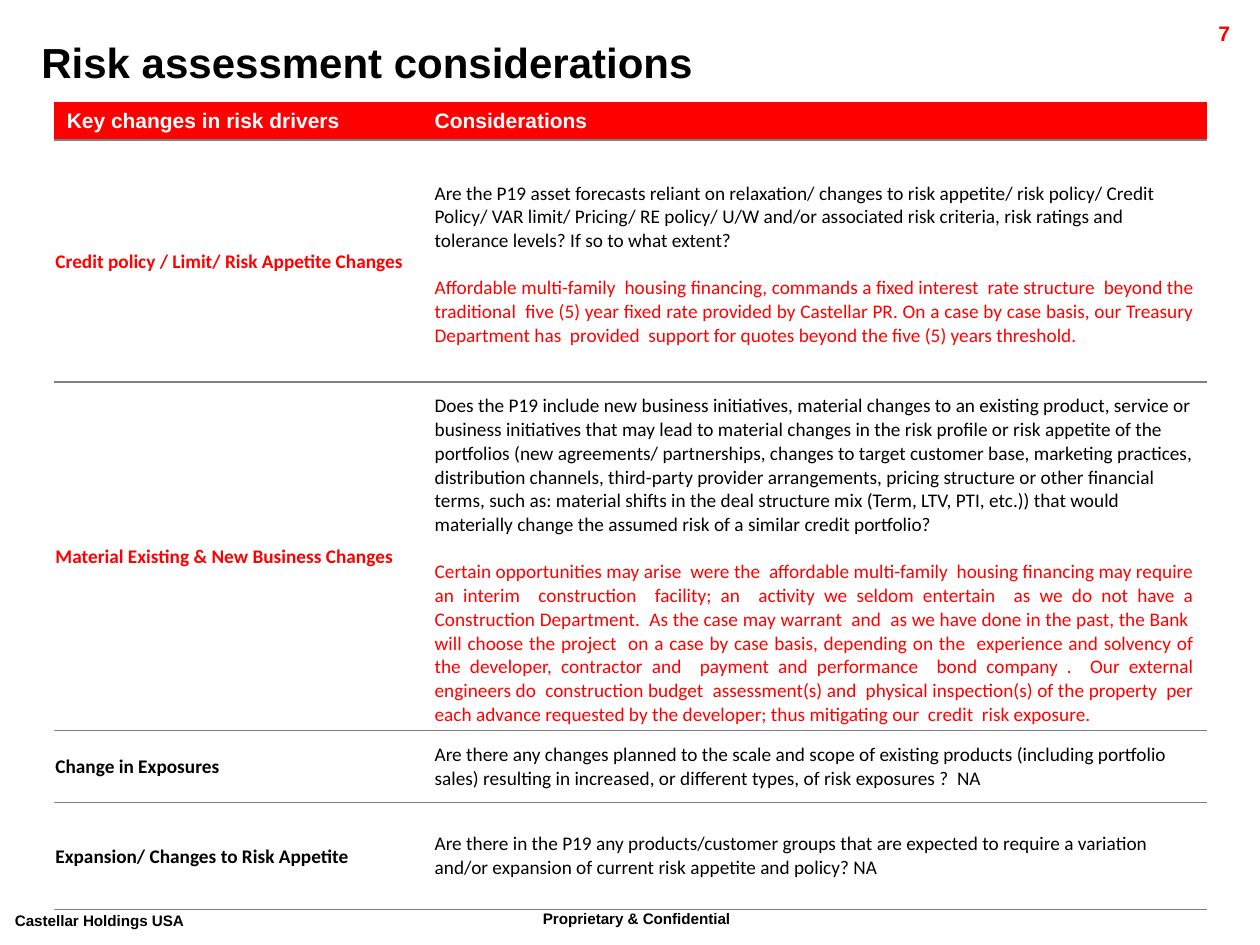
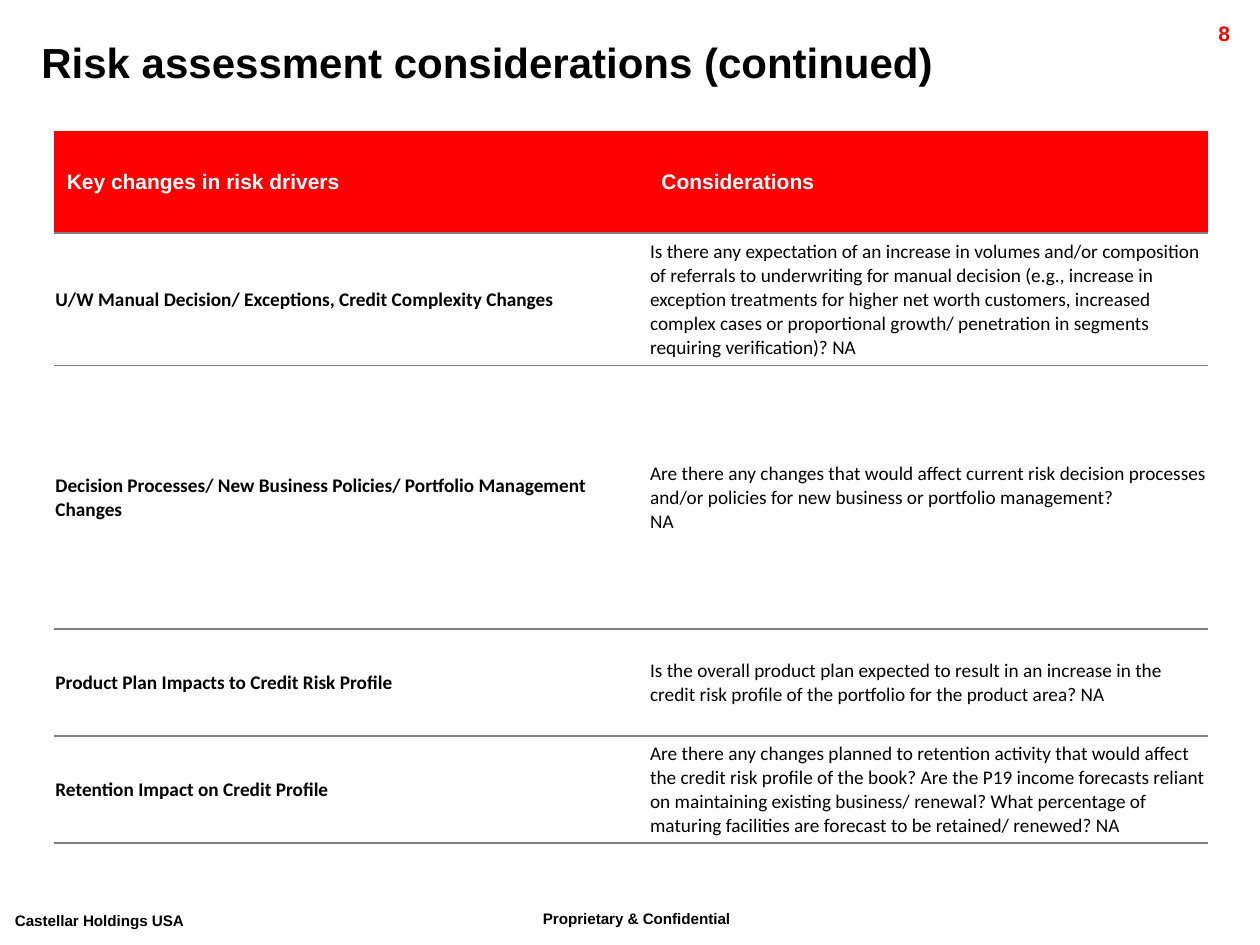
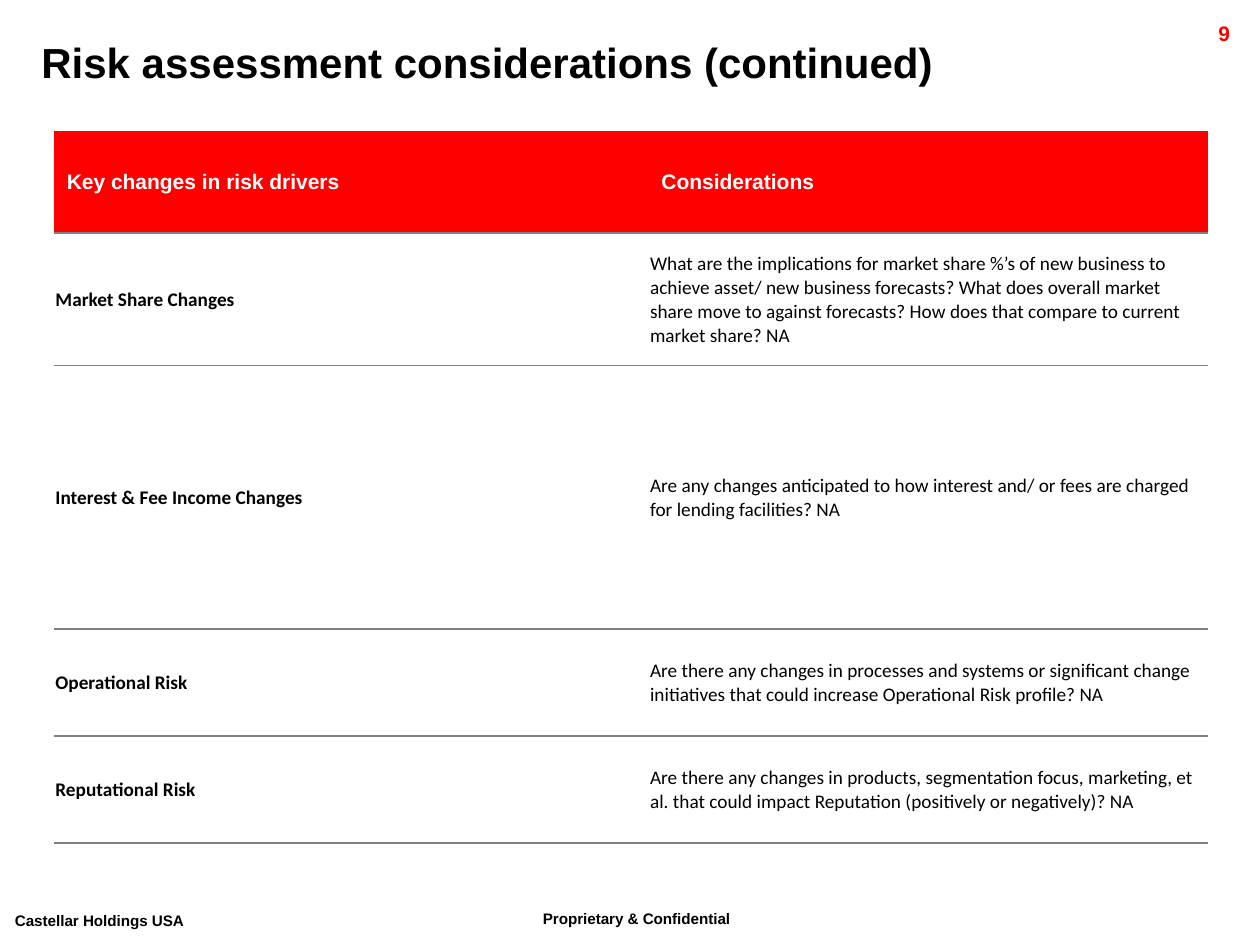
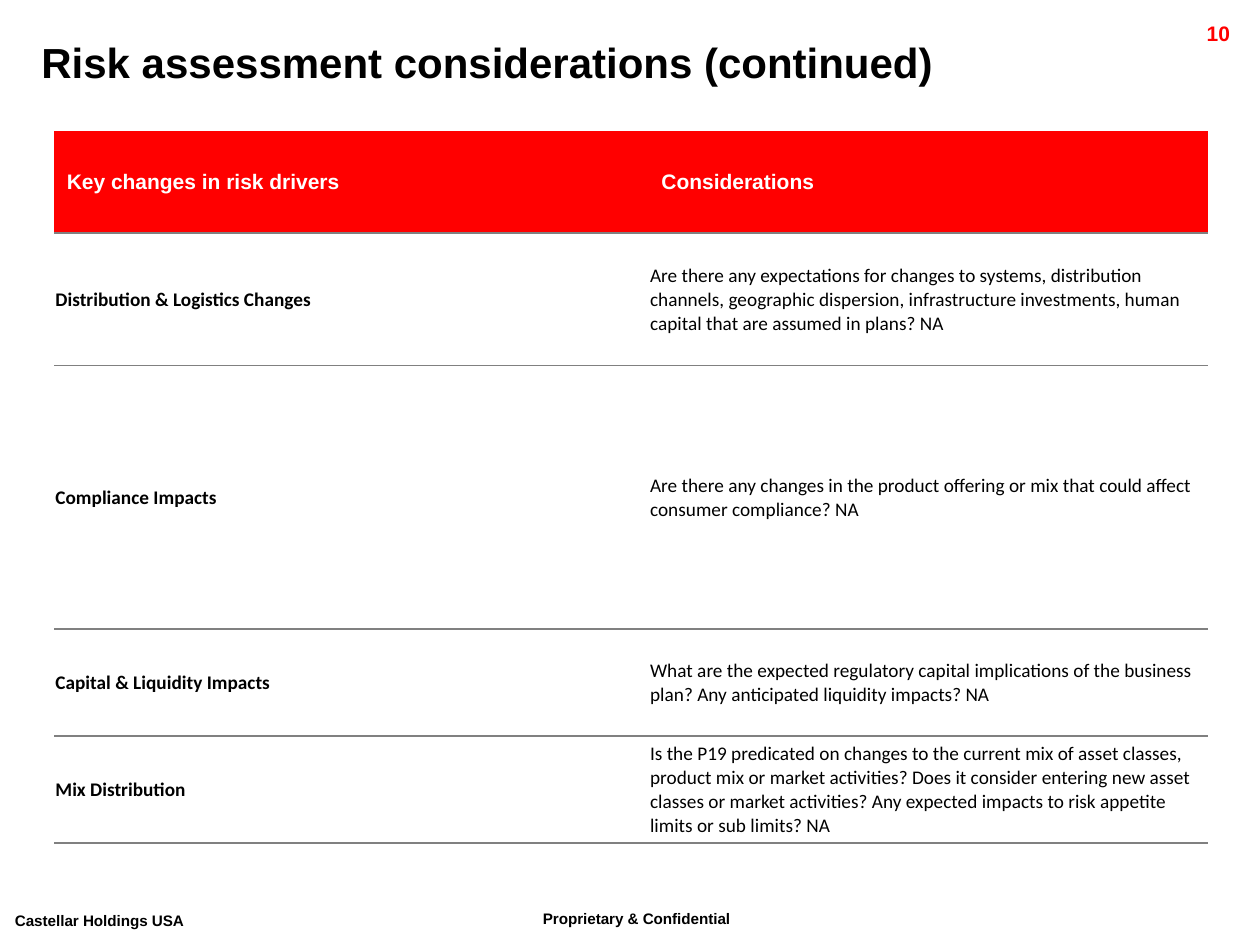
"""Build four risk assessment slides, each with a table of risk drivers and considerations."""
from lxml import etree
from pptx import Presentation
from pptx import util as u
from pptx.dml.color import RGBColor
from pptx.enum import text
from pptx.oxml import ns

COLOURS = {"ink": "000000", "accent": "FF0000", "header_text": "FFFFFF", "rule": "808080"}
HEADING_FONT, BODY_FONT = "Arial", "Calibri"
SLIDE_WIDTH, SLIDE_HEIGHT = u.Inches(10), u.Inches(7.5)
PLAIN_TABLE_STYLE = "{2D5ABB26-0587-4C30-8999-92F81FD0307C}"
TITLE = "Risk assessment considerations"
HEADINGS = ("Key changes in risk drivers", "Considerations")
FIRST_PAGE = 7
TABLE_LEFT = 4.3
TIGHT = (0.01, 0.01, 0.01, 0)
ROOMY = (0.1, 0.1, 0.1, 0.1)
ANSWERED = (0.1, 0.1, 0.1, 0.04)

OPENING = {
    "title": TITLE, "top": 10.8, "columns": (29.2, 62.3),
    "heights": (3.73, 25.6, 36.93, 7.6, 11.33), "insets": ROOMY,
    "drivers": [
        ("Credit policy / Limit/ Risk Appetite Changes",
         "Are the P19 asset forecasts reliant on relaxation/ changes to risk appetite/ risk policy/ "
         "Credit Policy/ VAR limit/ Pricing/ RE policy/ U/W and/or associated risk criteria, risk "
         "ratings and tolerance levels? If so to what extent?",
         "Affordable multi-family  housing financing, commands a fixed interest  rate structure  "
         "beyond the traditional  five (5) year fixed rate provided by Castellar PR. On a case by "
         "case basis, our Treasury Department has  provided  support for quotes beyond the five (5) "
         "years threshold."),
        ("Material Existing & New Business Changes",
         "Does the P19 include new business initiatives, material changes to an existing product, "
         "service or business initiatives that may lead to material changes in the risk profile or "
         "risk appetite of the portfolios (new agreements/ partnerships, changes to target customer "
         "base, marketing practices, distribution channels, third-party provider arrangements, "
         "pricing structure or other financial terms, such as: material shifts in the deal structure "
         "mix (Term, LTV, PTI, etc.)) that would materially change the assumed risk of a similar "
         "credit portfolio?",
         "Certain opportunities may arise  were the  affordable multi-family  housing financing may "
         "require an interim  construction  facility; an  activity we seldom entertain  as we do not "
         "have a Construction Department.  As the case may warrant  and  as we have done in the past, "
         "the Bank  will choose the project  on a case by case basis, depending on the  experience "
         "and solvency of the developer, contractor and  payment and performance  bond company .  Our "
         "external engineers do  construction budget  assessment(s) and  physical inspection(s) of "
         "the property  per each advance requested by the developer; thus mitigating our  credit  "
         "risk exposure."),
        ("Change in Exposures",
         "Are there any changes planned to the scale and scope of existing products (including "
         "portfolio sales) resulting in increased, or different types, of risk exposures ?  NA"),
        ("Expansion/ Changes to Risk Appetite",
         "Are there in the P19 any products/customer groups that are expected to require a variation "
         "and/or expansion of current risk appetite and policy? NA"),
    ],
}
CONTINUED = {
    "title": f"{TITLE} (continued)", "top": 13.87, "columns": (47.2, 44.4),
    "heights": (10.8, 14, 27.87, 11.33, 11.33), "insets": TIGHT,
}
CONTINUED_DRIVERS = [
    [
        ("U/W Manual Decision/ Exceptions, Credit Complexity Changes",
         "Is there any expectation of an increase in volumes and/or composition of referrals to "
         "underwriting for manual decision (e.g., increase in exception treatments for higher net "
         "worth customers, increased complex cases or proportional growth/ penetration in segments "
         "requiring verification)? NA"),
        ("Decision Processes/ New Business Policies/ Portfolio Management Changes",
         "Are there any changes that would affect current risk decision processes and/or policies "
         "for new business or portfolio management?\nNA"),
        ("Product Plan Impacts to Credit Risk Profile",
         "Is the overall product plan expected to result in an increase in the credit risk profile "
         "of the portfolio for the product area? NA"),
        ("Retention Impact on Credit Profile",
         "Are there any changes planned to retention activity that would affect the credit risk "
         "profile of the book? Are the P19 income forecasts reliant on maintaining existing "
         "business/ renewal? What percentage of maturing facilities are forecast to be retained/ "
         "renewed? NA"),
    ],
    [
        ("Market Share Changes",
         "What are the implications for market share %’s of new business to achieve asset/ new "
         "business forecasts? What does overall market share move to against forecasts? How does "
         "that compare to current market share? NA"),
        ("Interest & Fee Income Changes",
         "Are any changes anticipated to how interest and/ or fees are charged for lending "
         "facilities? NA"),
        ("Operational Risk",
         "Are there any changes in processes and systems or significant change initiatives that "
         "could increase Operational Risk profile? NA"),
        ("Reputational Risk",
         "Are there any changes in products, segmentation focus, marketing, et al. that could impact "
         "Reputation (positively or negatively)? NA"),
    ],
    [
        ("Distribution & Logistics Changes",
         "Are there any expectations for changes to systems, distribution channels, geographic "
         "dispersion, infrastructure investments, human capital that are assumed in plans? NA"),
        ("Compliance Impacts",
         "Are there any changes in the product offering or mix that could affect consumer "
         "compliance? NA"),
        ("Capital & Liquidity Impacts",
         "What are the expected regulatory capital implications of the business plan? Any "
         "anticipated liquidity impacts? NA"),
        ("Mix Distribution",
         "Is the P19 predicated on changes to the current mix of asset classes, product mix or "
         "market activities? Does it consider entering new asset classes or market activities? Any "
         "expected impacts to risk appetite limits or sub limits? NA"),
    ],
]


def across(percent):
    """Return a share of the slide's width."""
    return round(SLIDE_WIDTH * percent / 100)


def down(percent):
    """Return a share of the slide's height."""
    return round(SLIDE_HEIGHT * percent / 100)


def style(paragraph, size, colour, bold=True, font=HEADING_FONT):
    """Format every run of a paragraph."""
    for run in paragraph.runs:
        run.font.size = u.Pt(size)
        run.font.name = font
        run.font.bold = bold
        run.font.color.rgb = RGBColor.from_string(COLOURS[colour])


def add_label(slide, wording, left, top, width, height, size, colour="ink"):
    """Add one line of bold heading text and return its paragraph."""
    label = slide.shapes.add_textbox(across(left), down(top), across(width), down(height))
    label.text_frame.word_wrap = True
    label.text_frame.text = wording
    line = label.text_frame.paragraphs[0]
    style(line, size, colour)
    return line


def add_footer(slide, wording, left, top, width):
    """Add a raised footer line."""
    line = add_label(slide, wording, left, top, width, 4.67, 15)
    line.runs[0].font._element.set("baseline", "30000")


def add_frame(slide, title, page):
    """Add the footers, page number and title that all slides share."""
    add_footer(slide, "Proprietary & Confidential", 42.1, 95.2, 21.8)
    add_footer(slide, "Castellar Holdings USA", 0.2, 95.47, 19.1)
    number = add_label(slide, str(page), 89.1, 1.47, 9.5, 3.2, 12, "accent")
    number.alignment = text.PP_ALIGN.RIGHT
    add_label(slide, title, 2.3, 3.2, 98.2, 6.67, 24)


def rule_below(cell):
    """Draw a thin grey line under a cell."""
    line = etree.SubElement(cell._tc.get_or_add_tcPr(), ns.qn("a:lnB"), w=str(u.Pt(1)))
    fill = etree.SubElement(line, ns.qn("a:solidFill"))
    etree.SubElement(fill, ns.qn("a:srgbClr"), val=COLOURS["rule"])


def fill_heading(cell, wording):
    """Write a heading cell on the accent colour."""
    cell.fill.solid()
    cell.fill.fore_color.rgb = RGBColor.from_string(COLOURS["accent"])
    cell.text_frame.text = wording
    style(cell.text_frame.paragraphs[0], 12, "header_text")


def fill_body(cell, wording, insets, colour="ink", bold=False):
    """Write a body cell with its insets."""
    cell.fill.background()
    cell.margin_left, cell.margin_top, cell.margin_right, cell.margin_bottom = map(u.Inches, insets)
    cell.text_frame.text = wording
    for paragraph in cell.text_frame.paragraphs:
        style(paragraph, 11, colour, bold, BODY_FONT)


def add_answer(cell, answer):
    """Append a justified answer in the accent colour."""
    paragraph = cell.text_frame.add_paragraph()
    paragraph.text = answer
    paragraph.alignment = text.PP_ALIGN.JUSTIFY
    paragraph.space_before = u.Pt(13.4)
    style(paragraph, 11, "accent", False, BODY_FONT)


def add_driver_table(slide, top, columns, heights, insets, drivers):
    """Add the table of risk drivers and their considerations."""
    frame = slide.shapes.add_table(len(heights), len(columns), across(TABLE_LEFT), down(top),
                                   across(sum(columns)), down(sum(heights)))
    table = frame.table
    table.first_row = table.horz_banding = False
    table._tbl.tblPr.find(ns.qn("a:tableStyleId")).text = PLAIN_TABLE_STYLE
    for column, width in zip(table.columns, columns):
        column.width = across(width)
    for row, height in zip(table.rows, heights):
        row.height = down(height)
    for cell in table.iter_cells():
        cell.vertical_anchor = text.MSO_ANCHOR.MIDDLE
        rule_below(cell)
    for column, heading in enumerate(HEADINGS):
        fill_heading(table.cell(0, column), heading)
    for row, (driver, question, *answers) in enumerate(drivers, start=1):
        fill_body(table.cell(row, 0), driver, TIGHT, "accent" if answers else "ink", True)
        consideration = table.cell(row, 1)
        fill_body(consideration, question, ANSWERED if answers else insets)
        for answer in answers:
            add_answer(consideration, answer)


def main():
    """Build and save the presentation."""
    prs = Presentation()
    prs.slide_width, prs.slide_height = SLIDE_WIDTH, SLIDE_HEIGHT
    pages = [OPENING] + [{**CONTINUED, "drivers": drivers} for drivers in CONTINUED_DRIVERS]
    for number, page in enumerate(pages, start=FIRST_PAGE):
        slide = prs.slides.add_slide(prs.slide_layouts[6])
        add_frame(slide, page["title"], number)
        add_driver_table(slide, page["top"], page["columns"], page["heights"],
                         page["insets"], page["drivers"])
    prs.save("out.pptx")


if __name__ == "__main__":
    main()
